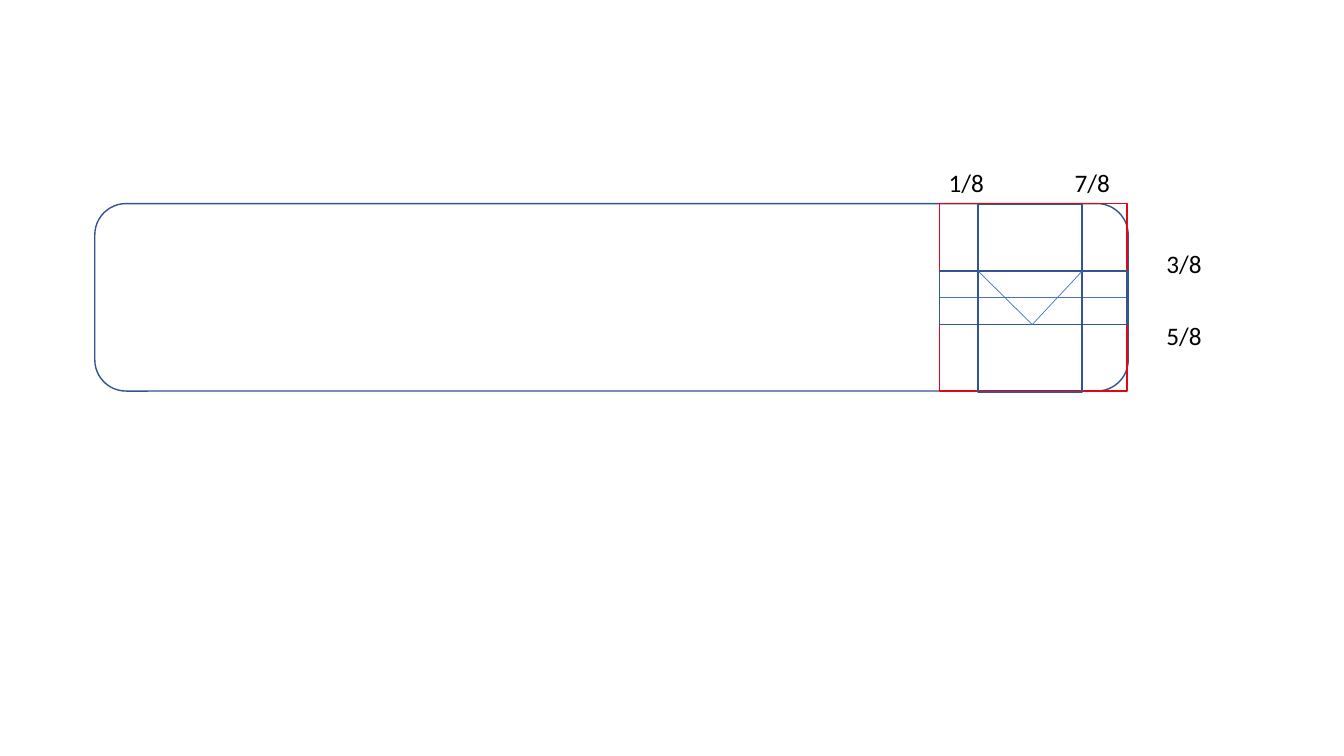
import pptx
import pptx.util
import pptx.dml.color
import pptx.enum.shapes
import pptx.enum.text
from lxml import etree

COLOURS = {"outline": "325491", "guide": "4472C4", "end": "E30613", "text": "000000"}
SHAPES = pptx.enum.shapes.MSO_SHAPE
DRAWING = "{http://schemas.openxmlformats.org/drawingml/2006/main}"


def set_line(line, colour, width):
    """Give a line its colour and its width in points."""
    line.color.rgb = pptx.dml.color.RGBColor.from_string(COLOURS[colour])
    line.width = pptx.util.Pt(width)


def add_outline(page, kind, box, colour="outline", rotation=0):
    """Draw an unfilled shape in a box of inches."""
    shape = page.shapes.add_shape(kind, *map(pptx.util.Inches, box))
    shape.shadow.inherit = False
    shape.fill.background()
    shape.rotation = rotation
    set_line(shape.line, colour, 1)


def add_guide(page, start, end):
    """Draw a thin straight line between two points."""
    guide = page.shapes.add_connector(
        pptx.enum.shapes.MSO_CONNECTOR.STRAIGHT, *map(pptx.util.Inches, start + end))
    set_line(guide.line, "guide", 0.5)
    etree.SubElement(guide.element.spPr, DRAWING + "effectLst")


def add_label(page, left, top, text):
    """Write a fraction at a point."""
    box = page.shapes.add_textbox(*map(pptx.util.Inches, (left, top, 0.56, 0.4)))
    frame = box.text_frame
    frame.word_wrap = False
    frame.auto_size = pptx.enum.text.MSO_AUTO_SIZE.SHAPE_TO_FIT_TEXT
    para = frame.paragraphs[0]
    para.text = text
    para.font.name = "Calibri"
    para.font.size = pptx.util.Pt(18)
    para.font.color.rgb = pptx.dml.color.RGBColor.from_string(COLOURS["text"])


def draw_end_square(page, left, top, side):
    """Draw the end square with its band, column, V and fractions."""
    right, middle = left + side, top + side / 2
    band_top, band_height = top + 0.36 * side, 0.285 * side
    band_bottom = band_top + band_height
    column_left, column_width = left + 0.205 * side, 0.555 * side
    column_right = column_left + column_width
    tip = (column_left + column_width * 0.52, band_bottom)

    add_outline(page, SHAPES.RECTANGLE, (left, top, side, side), "end")
    add_guide(page, (left, middle), (right, middle))
    band_left = left + (side - band_height) / 2
    band_unturned_top = band_top + (band_height - side) / 2
    add_outline(page, SHAPES.RECTANGLE,
                (band_left, band_unturned_top, band_height, side), rotation=270)
    add_outline(page, SHAPES.RECTANGLE, (column_left, top + 0.01, column_width, side))
    for edge in (column_left, column_right):
        add_guide(page, (edge, band_top), tip)

    for offset, text in ((0.39, "3/8"), (1.11, "5/8")):
        add_label(page, right + 0.29, top + offset, text)
    for offset, text in ((-0.01, "1/8"), (1.24, "7/8")):
        add_label(page, left + offset, top - 0.41, text)


def draw_bar(page, left, top, width, height):
    """Draw the rounded bar and the square at its right end."""
    add_outline(page, SHAPES.ROUNDED_RECTANGLE, (left, top, width, height))
    draw_end_square(page, left + width - height - 0.01, top, height)


def main():
    """Build and save the slide."""
    deck = pptx.Presentation()
    deck.slide_width = pptx.util.Inches(13.33)
    deck.slide_height = pptx.util.Inches(7.5)
    page = deck.slides.add_slide(deck.slide_layouts[6])
    draw_bar(page, 0.94, 2.02, 10.25, 1.86)
    deck.save("out.pptx")


if __name__ == "__main__":
    main()
